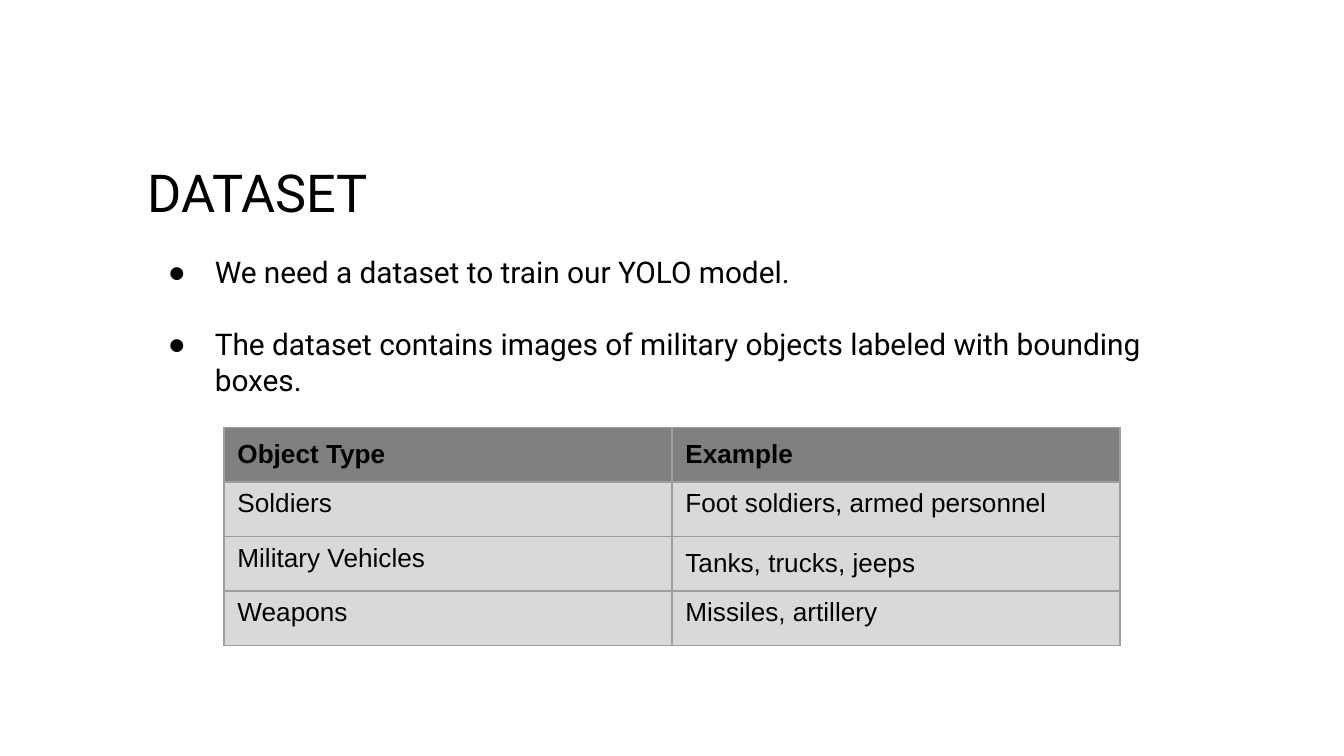
"""Build the dataset slide: title, two bullets and a table of object types."""
from dataclasses import dataclass

from lxml import etree
from pptx import Presentation
from pptx.dml.color import RGBColor
from pptx.enum.text import MSO_ANCHOR
from pptx.oxml.ns import qn
from pptx.util import Emu, Inches, Pt

TOP, MIDDLE = MSO_ANCHOR.TOP, MSO_ANCHOR.MIDDLE


@dataclass(frozen=True)
class Theme:
    ink: str = "000000"
    head: str = "808080"
    body: str = "D9D9D9"
    edge: str = "9E9E9E"
    sans: str = "Roboto"
    grid: str = "Arial"
    title: int = 28
    point: int = 16
    cell: int = 14
    gap: float = 19.4
    line: float = 0.75


theme = Theme()
deck = Presentation()
deck.slide_width = Inches(10)
deck.slide_height = deck.slide_width * 9 // 16
col, row = deck.slide_width / 100, deck.slide_height / 100
slide = deck.slides.add_slide(deck.slide_layouts[6])


def style(para, face, size, bold=False):
    for run in para.runs:
        run.font.name, run.font.size, run.font.bold = face, Pt(size), bold
        run.font.color.rgb = RGBColor.from_string(theme.ink)


def add_box(left, top, width, height, lines, size):
    place = [Emu(round(n)) for n in (left * col, top * row, width * col, height * row)]
    frame = slide.shapes.add_textbox(*place).text_frame
    frame.word_wrap = True
    frame.margin_left = frame.margin_right = Inches(0.1)
    frame.margin_top = frame.margin_bottom = Inches(0.1)
    frame.text = "\n".join(lines)
    for para in frame.paragraphs:
        style(para, theme.sans, size)
    return frame


add_box(10, 19.4, 46.3, 11.2, ["DATASET"], theme.title)

points = add_box(10, 31.82, 80.5, 52.6, [
    "We need a dataset to train our YOLO model.",
    "The dataset contains images of military objects labeled with bounding boxes.",
], theme.point)
for index, para in enumerate(points.paragraphs):
    if index:
        para.space_before = Pt(theme.gap)
    props = para._p.get_or_add_pPr()
    props.set("marL", str(Inches(0.5)))
    props.set("indent", str(Inches(-0.35)))
    tint = etree.SubElement(props, qn("a:buClr"))
    etree.SubElement(tint, qn("a:srgbClr"), val=theme.ink)
    etree.SubElement(props, qn("a:buFont"), typeface=theme.grid)
    etree.SubElement(props, qn("a:buChar"), char="●")

data = [
    ("Object Type", "Example"),
    ("Soldiers", "Foot soldiers, armed personnel"),
    ("Military Vehicles", "Tanks, trucks, jeeps"),
    ("Weapons", "Missiles, artillery"),
]
centred = {(0, 0), (0, 1), (2, 1)}
width, height = deck.slide_width * 2 // 3, round(28.85 * row)
left = (deck.slide_width - width) // 2
table = slide.shapes.add_table(
    len(data), 2, left, round(56.55 * row), width, height).table
for r, words in enumerate(data):
    for c, word in enumerate(words):
        cell = table.cell(r, c)
        cell.text = word
        style(cell.text_frame.paragraphs[0], theme.grid, theme.cell, r == 0)
        cell.vertical_anchor = MIDDLE if (r, c) in centred else TOP
        props = cell._tc.get_or_add_tcPr()
        for side in ("lnL", "lnR", "lnT", "lnB"):
            edge = etree.SubElement(props, qn(f"a:{side}"), w=str(Pt(theme.line)))
            paint = etree.SubElement(edge, qn("a:solidFill"))
            etree.SubElement(paint, qn("a:srgbClr"), val=theme.edge)
        cell.fill.solid()
        cell.fill.fore_color.rgb = RGBColor.from_string(theme.body if r else theme.head)

deck.save("out.pptx")
